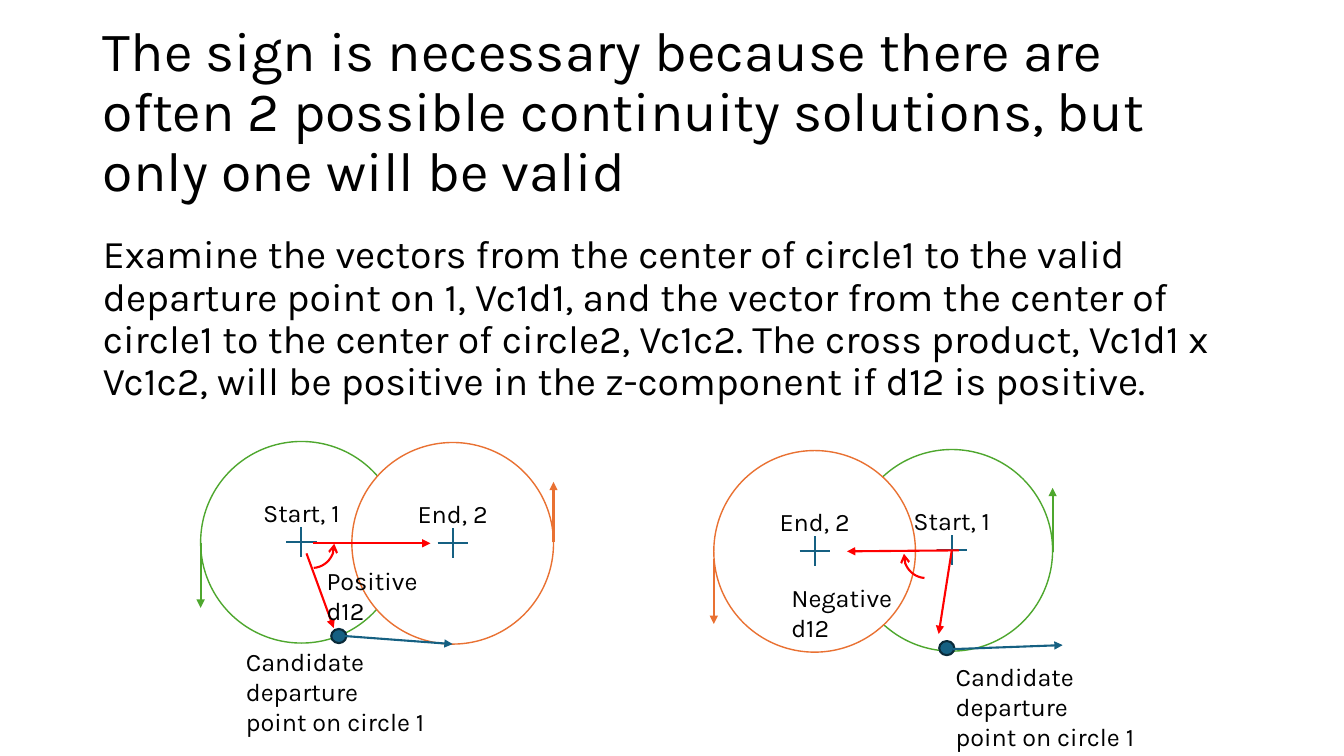
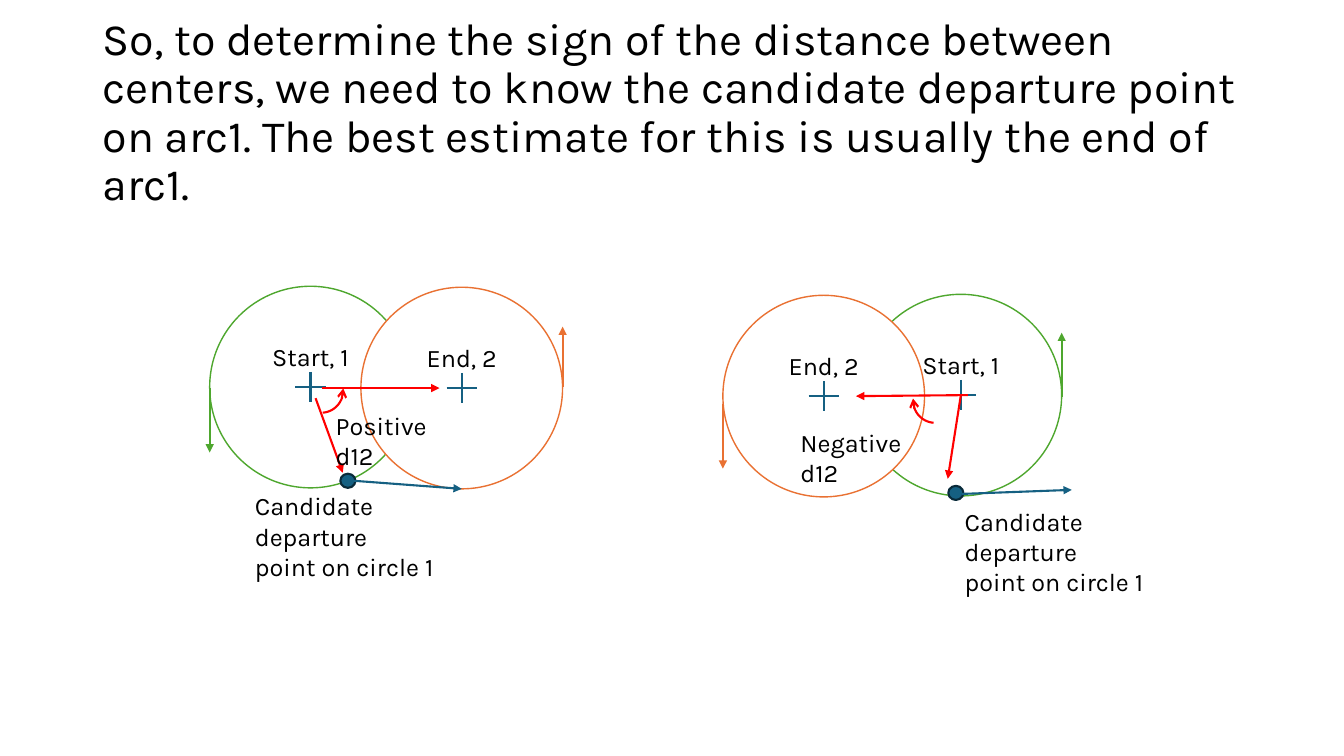
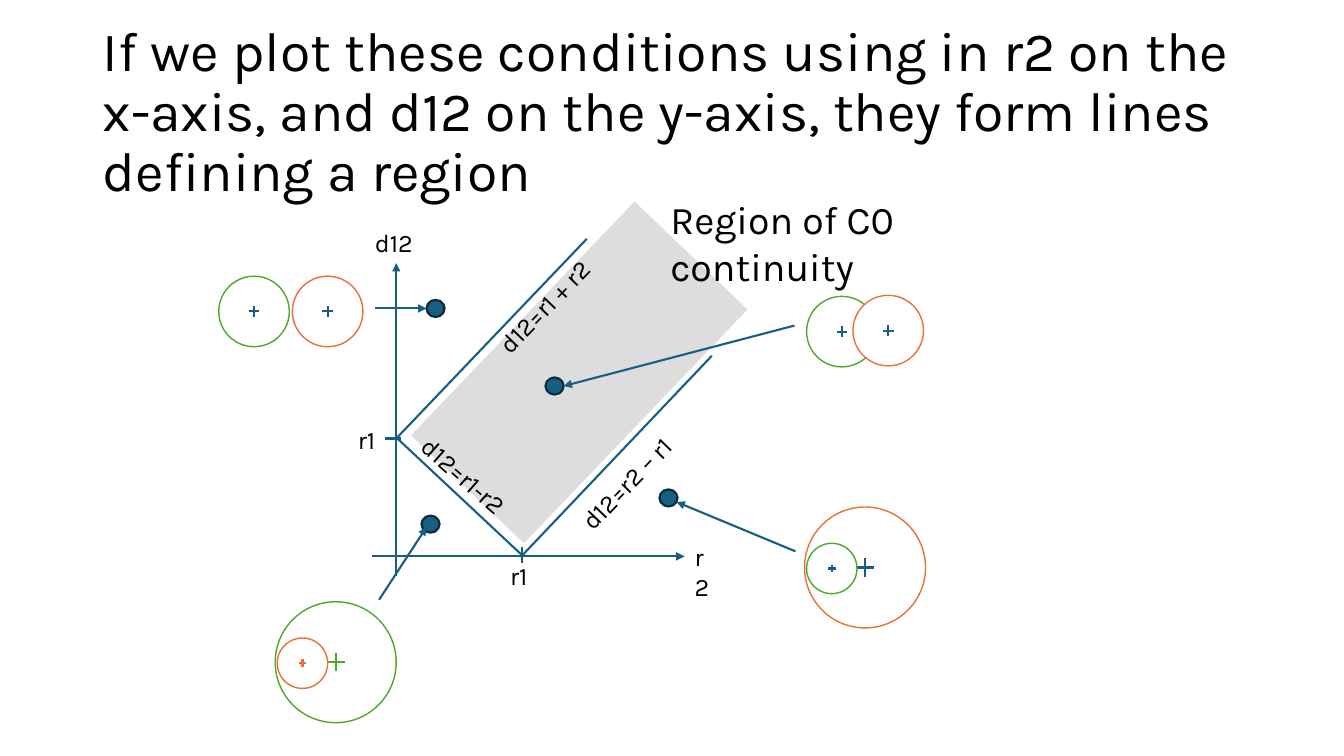
from lxml import etree
from pptx import Presentation
from pptx import util as u
from pptx.dml.color import RGBColor
from pptx.enum import shapes, text
from pptx.oxml.ns import qn

# Shared style
FONT = "Karla"
BLACK = RGBColor(0x00, 0x00, 0x00)
WHITE = RGBColor(0xFF, 0xFF, 0xFF)
GREEN = RGBColor(0x4E, 0xA7, 0x2E)
ORANGE = RGBColor(0xE9, 0x71, 0x32)
BLUE = RGBColor(0x15, 0x60, 0x82)
NAVY = RGBColor(0x09, 0x2A, 0x39)
RED = RGBColor(0xFF, 0x00, 0x00)
GREY = RGBColor(0xBF, 0xBF, 0xBF)
LEFT, WIDE = 0.92, 11.5
KIND = shapes.MSO_SHAPE

# Slide wording: title, size
TITLES = [
    ("The sign is necessary because there are often 2 possible continuity "
     "solutions, but only one will be valid", 39.6),
    ("So, to determine the sign of the distance between centers, we need to "
     "know the candidate departure point on arc1. The best estimate for this "
     "is usually the end of arc1.", 32),
    ("If we plot these conditions using in r2 on the x-axis, and d12 on the "
     "y-axis, they form lines defining a region", 39.6),
]
BODY = ("Examine the vectors from the center of circle1 to the valid departure "
        "point on 1, Vc1d1, and the vector from the center of circle1 to the "
        "center of circle2, Vc1c2. The cross product, Vc1d1 x Vc1c2, will be "
        "positive in the z-component if d12 is positive.")

# Circle pairs, in inches
# ring: centre x, centre y, radius, outline, cross, label
PAIR_RINGS = [
    (2.99, 5.38, 1, GREEN, BLUE, "Start, 1"),
    (4.49, 5.39, 1, ORANGE, BLUE, "End, 2"),
    (9.44, 5.46, 1, GREEN, BLUE, "Start, 1"),
    (8.08, 5.47, 1, ORANGE, BLUE, "End, 2"),
]
# line: from x, from y, to x, to y, colour
PAIR_ARROWS = [
    (3.42, 6.31, 4.49, 6.39, BLUE),
    (9.45, 6.44, 10.54, 6.4, BLUE),
    (3.04, 5.49, 3.31, 6.23, RED),
    (3.1, 5.39, 4.27, 5.39, RED),
    (9.51, 5.46, 8.4, 5.47, RED),
    (9.44, 5.46, 9.31, 6.29, RED),
    (10.44, 5.48, 10.44, 4.84, GREEN),
    (1.99, 5.39, 1.99, 6.03, GREEN),
    (7.08, 5.55, 7.08, 6.19, ORANGE),
    (5.49, 5.38, 5.49, 4.78, ORANGE),
]
PAIR_DOTS = [(3.36, 6.31), (9.39, 6.43)]
# turn: left, top, rotation, mirrored
TURNS = [(2.87, 5.19, 85.9, False), (8.96, 5.29, 274.1, True)]
# label: text, left, top, width
SPOT = "Candidate departure\npoint on circle 1"
PAIR_LABELS = [
    ("Positive d12", 3.14, 5.56, 1.51),
    ("Negative d12", 7.75, 5.73, 1.62),
    (SPOT, 2.34, 6.36, 2.47),
    (SPOT, 9.38, 6.51, 2.47),
]

# Region plot, in inches
REGION = (4.14, 2.92, 3.21, 1.55, 313.7)
PLOT_RINGS = [
    (2.52, 3.09, 0.35, GREEN, BLUE),
    (3.25, 3.09, 0.35, ORANGE, BLUE),
    (8.35, 3.29, 0.35, GREEN, BLUE),
    (8.81, 3.28, 0.35, ORANGE, BLUE),
    (8.58, 5.63, 0.6, ORANGE, BLUE),
    (8.25, 5.64, 0.25, GREEN, BLUE),
    (3.33, 6.57, 0.6, GREEN, GREEN),
    (3.0, 6.58, 0.25, ORANGE, ORANGE),
]
PLOT_LINES = [
    (3.93, 4.35, 5.82, 2.37),
    (5.18, 5.51, 7.06, 3.53),
    (5.18, 5.51, 3.93, 4.34),
    (3.82, 4.35, 3.98, 4.35),
    (5.18, 5.43, 5.18, 5.59),
]
PLOT_ARROWS = [
    (3.93, 5.71, 3.93, 2.61),
    (3.69, 5.52, 6.79, 5.52),
    (3.72, 3.06, 4.23, 3.06),
    (3.76, 5.95, 4.23, 5.23),
    (7.89, 5.47, 6.71, 4.98),
    (7.88, 3.23, 5.59, 3.83),
]
PLOT_DOTS = [(4.32, 3.06), (5.5, 3.83), (6.63, 4.94), (4.27, 5.2)]
# label: text, left, top, width, rotation, size
PLOT_LABELS = [
    ("d12", 3.62, 2.21, 0.61, 0, 18),
    ("r2", 6.79, 5.32, 0.42, 0, 18),
    ("r1", 3.45, 4.16, 0.42, 0, 18),
    ("r1", 4.96, 5.51, 0.42, 0, 18),
    ("d12=r1 + r2", 4.65, 2.69, 1.78, 314.1, 18),
    ("d12=r2 – r1", 5.47, 4.44, 1.78, 314.1, 18),
    ("d12=r1-r2", 3.98, 4.57, 1.35, 41.3, 18),
    ("Region of C0 continuity", 6.55, 1.89, 4.11, 0, 28),
]


def cm(inch):
    return u.Cm(inch * 2.54)


def style(frame, size):
    for para in frame.paragraphs:
        for run in para.runs:
            run.font.name = FONT
            run.font.size = u.Pt(size)
            run.font.color.rgb = BLACK


def place(item, x, y, w, h):
    item.left, item.top, item.width, item.height = map(cm, (x, y, w, h))


def stroke(item, colour, width=1.5, **ends):
    """Colour a line; ends maps headEnd or tailEnd to an arrow type."""
    item.line.color.rgb = colour
    item.line.width = u.Pt(width)
    for tag, kind in ends.items():
        etree.SubElement(item.line._get_or_add_ln(), qn("a:" + tag), type=kind)


def shape(slide, kind, x, y, w, h, fill=None):
    item = slide.shapes.add_shape(kind, *map(cm, (x, y, w, h)))
    item.shadow.inherit = False
    if fill is None:
        item.fill.background()
    else:
        item.fill.solid()
        item.fill.fore_color.rgb = fill
    return item


def line(slide, x1, y1, x2, y2, colour=BLUE, **ends):
    item = slide.shapes.add_connector(
        shapes.MSO_CONNECTOR.STRAIGHT, *map(cm, (x1, y1, x2, y2)))
    stroke(item, colour, **ends)
    etree.SubElement(item._element.spPr, qn("a:effectLst"))


def arrow(slide, *args):
    line(slide, *args, tailEnd="triangle")


def ring(slide, x, y, r, colour, cross, label=""):
    item = shape(slide, KIND.OVAL, x - r, y - r, 2 * r, 2 * r, WHITE)
    stroke(item, colour, 1)
    if label:
        frame = item.text_frame
        frame.text = label
        frame.margin_bottom = cm(0.65)  # lifts the label above the cross
        frame.vertical_anchor = text.MSO_ANCHOR.MIDDLE
        frame.paragraphs[0].alignment = text.PP_ALIGN.CENTER
        style(frame, 18)
    arm = 0.15 * r
    line(slide, x, y - arm, x, y + arm, cross)
    line(slide, x - arm, y, x + arm, y, cross)


def dot(slide, x, y, w):
    h = w - 0.01
    stroke(shape(slide, KIND.OVAL, x - w / 2, y - h / 2, w, h, BLUE), NAVY)


def label(slide, words, x, y, w, turn=0, size=18):
    high = size / 45 * (1 + 0.78 * words.count("\n"))
    item = slide.shapes.add_textbox(*map(cm, (x, y, w, high)))
    item.rotation = turn
    frame = item.text_frame
    frame.word_wrap = True
    frame.text = words
    style(frame, size)


def start(deck, layout, words, size):
    slide = deck.slides.add_slide(deck.slide_layouts[layout])
    head = slide.shapes.title
    place(head, LEFT, 0.4, WIDE, 1.45)
    frame = head.text_frame
    frame.text = words
    frame.auto_size = text.MSO_AUTO_SIZE.NONE
    frame.vertical_anchor = text.MSO_ANCHOR.MIDDLE
    frame.paragraphs[0].alignment = text.PP_ALIGN.LEFT
    frame.paragraphs[0].line_spacing = 0.9
    style(frame, size)
    return slide


def body(slide):
    item = slide.placeholders[1]
    place(item, LEFT, 2.28, WIDE, 4.47)
    frame = item.text_frame
    frame.text = BODY
    frame.auto_size = text.MSO_AUTO_SIZE.NONE
    para = frame.paragraphs[0]
    para.line_spacing = 0.9
    para.space_before = u.Pt(10)
    props = para._p.get_or_add_pPr()
    props.set("marL", "0")
    props.set("indent", "0")
    etree.SubElement(props, qn("a:buNone"))
    style(frame, 28)


def pairs(slide, dx=0, dy=0):
    """Both circle pairs, moved by dx and dy."""
    for x, y, *rest in PAIR_RINGS:
        ring(slide, x + dx, y + dy, *rest)
    for x, y in PAIR_DOTS:
        dot(slide, x + dx, y + dy, 0.15)
    for x1, y1, x2, y2, colour in PAIR_ARROWS:
        arrow(slide, x1 + dx, y1 + dy, x2 + dx, y2 + dy, colour)
    for x, y, turn, flip in TURNS:
        arc = shape(slide, KIND.ARC, x + dx, y + dy, 0.45, 0.44)
        arc.rotation = turn
        stroke(arc, RED, headEnd="arrow")
        if flip:
            arc._element.spPr.xfrm.set("flipH", "1")
    for words, x, y, w in PAIR_LABELS:
        label(slide, words, x + dx, y + dy, w)


def plot(slide):
    *box, turn = REGION
    area = shape(slide, KIND.RECTANGLE, *box, GREY)
    area.rotation = turn
    area.line.fill.background()
    tint = area._element.spPr.find(".//" + qn("a:srgbClr"))
    etree.SubElement(tint, qn("a:alpha"), val="52000")
    for args in PLOT_RINGS:
        ring(slide, *args)
    for args in PLOT_LINES:
        line(slide, *args)
    for x, y in PLOT_DOTS:
        dot(slide, x, y, 0.18)
    for args in PLOT_ARROWS:
        arrow(slide, *args)
    for args in PLOT_LABELS:
        label(slide, *args)


def main():
    deck = Presentation()
    deck.slide_width, deck.slide_height = cm(13.33), cm(7.5)

    # Two solutions
    slide = start(deck, 1, *TITLES[0])
    body(slide)
    pairs(slide)

    # Departure point
    pairs(start(deck, 5, *TITLES[1]), 0.09, -1.54)

    # Region of continuity
    plot(start(deck, 5, *TITLES[2]))

    deck.save("out.pptx")


if __name__ == "__main__":
    main()
